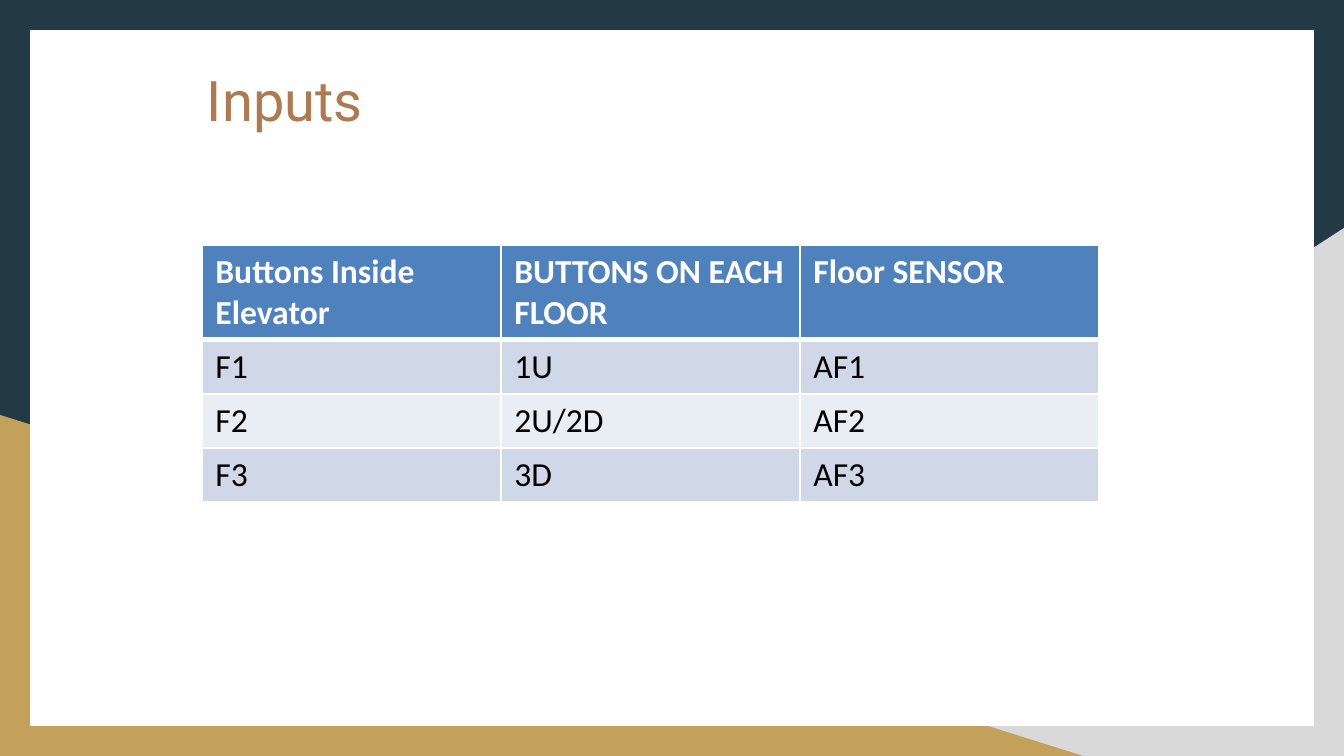
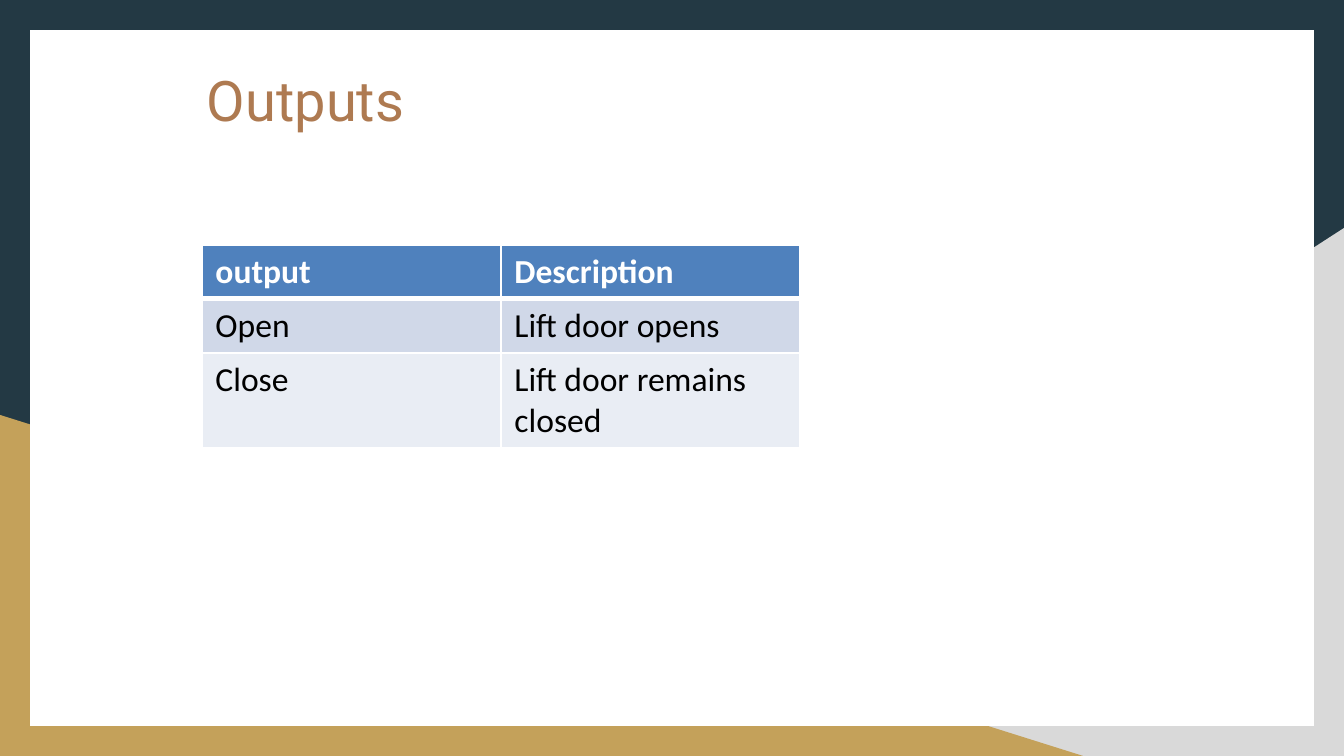
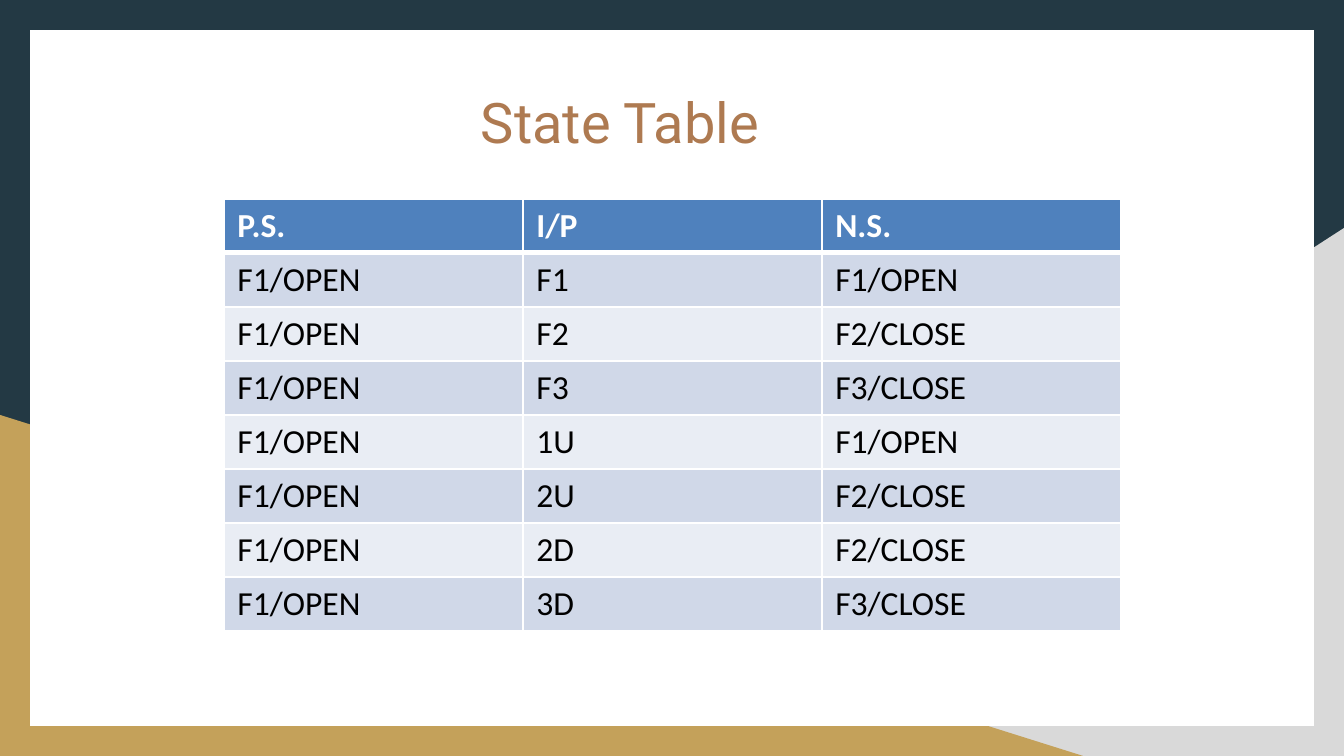
from dataclasses import dataclass
from typing import Optional

from lxml.etree import SubElement
from pptx import Presentation
from pptx.dml.color import RGBColor
from pptx.enum.text import MSO_ANCHOR, MSO_AUTO_SIZE, PP_ALIGN
from pptx.oxml.ns import qn
from pptx.slide import Slide, SlideLayout
from pptx.table import _Cell
from pptx.util import Emu, Pt

EMU_PER_PX = 914400 / 134.4
SLIDE_WIDTH, SLIDE_HEIGHT = 1344, 756
COLUMN_WIDTH = 299
ROW_HEIGHT, TWO_LINE_ROW_HEIGHT = 54, 95


@dataclass(frozen=True)
class Theme:
    navy: str = "233944"
    grey: str = "D9D9D9"
    gold: str = "C4A15A"
    white: str = "FFFFFF"
    black: str = "000000"
    title: str = "AE7A51"
    header: str = "4F81BD"
    odd_row: str = "D0D8E8"
    even_row: str = "E9EDF4"
    title_font: str = "Roboto"
    table_font: str = "Calibri"
    title_size: int = 30
    table_size: int = 18
    rule: int = 1
    header_rule: int = 3


THEME = Theme()


@dataclass(frozen=True)
class Panel:
    color: str
    corners: tuple[tuple[int, int], ...]


@dataclass(frozen=True)
class Box:
    left: int
    top: int
    width: int
    height: int


@dataclass(frozen=True)
class TableSlide:
    title: str
    title_box: Box
    table_left: int
    table_top: int
    rows: list[tuple[str, ...]]
    two_line_row: Optional[int] = None


def rectangle(left: int, top: int, right: int, bottom: int) -> tuple[tuple[int, int], ...]:
    return (left, top), (right, top), (right, bottom), (left, bottom)


BACKDROP = [
    Panel(THEME.navy, rectangle(0, 0, SLIDE_WIDTH, SLIDE_HEIGHT)),
    Panel(THEME.grey, ((SLIDE_WIDTH, SLIDE_HEIGHT), (527, SLIDE_HEIGHT), (SLIDE_WIDTH, 228))),
    Panel(THEME.gold, ((1083, SLIDE_HEIGHT), (0, SLIDE_HEIGHT), (0, 415))),
    Panel(THEME.white, rectangle(30, 30, 1314, 726)),
]

LEFT_TITLE = Box(207, 66, 930, 67)

STEPS_FROM_FIRST_FLOOR = [
    ("F1", "F1/OPEN"),
    ("F2", "F2/CLOSE"),
    ("F3", "F3/CLOSE"),
    ("1U", "F1/OPEN"),
    ("2U", "F2/CLOSE"),
    ("2D", "F2/CLOSE"),
    ("3D", "F3/CLOSE"),
]

SLIDES = [
    TableSlide("Inputs", LEFT_TITLE, 202, 245, [
        ("Buttons Inside Elevator", "BUTTONS ON EACH FLOOR", "Floor SENSOR"),
        ("F1", "1U", "AF1"),
        ("F2", "2U/2D", "AF2"),
        ("F3", "3D", "AF3"),
    ], two_line_row=0),
    TableSlide("Outputs", LEFT_TITLE, 202, 245, [
        ("output", "Description"),
        ("Open", "Lift door opens"),
        ("Close", "Lift door remains closed"),
    ], two_line_row=2),
    TableSlide("State Table", Box(481, 88, 289, 71), 224, 199, [
        ("P.S.", "I/P", "N.S."),
        *[("F1/OPEN", *step) for step in STEPS_FROM_FIRST_FLOOR],
    ]),
]


def px(length: int) -> Emu:
    return Emu(round(length * EMU_PER_PX))


def draw_backdrop(slide: Slide, layout: SlideLayout) -> None:
    """Outline the panels on a slide, then move them to its layout so all slides share them."""
    for placeholder in list(layout.placeholders):
        if placeholder.placeholder_format.idx != 0:
            layout.placeholders.element.remove(placeholder.element)
    panels = []
    for panel in BACKDROP:
        start, *others = panel.corners
        builder = slide.shapes.build_freeform(*start, scale=EMU_PER_PX)
        builder.add_line_segments(others, close=True)
        shape = builder.convert_to_shape()
        shape.fill.solid()
        shape.fill.fore_color.rgb = RGBColor.from_string(panel.color)
        shape.line.fill.background()
        shape.shadow.inherit = False
        panels.append(shape.element)
    for position, element in enumerate(panels, start=2):
        layout.shapes.element.insert(position, element)


def write_title(slide: Slide, text: str, box: Box) -> None:
    title = slide.shapes.title
    title.left, title.top = px(box.left), px(box.top)
    title.width, title.height = px(box.width), px(box.height)
    frame = title.text_frame
    frame.text = text
    frame.margin_left = frame.margin_top = frame.margin_right = frame.margin_bottom = 0
    frame.vertical_anchor = MSO_ANCHOR.TOP
    frame.auto_size = MSO_AUTO_SIZE.SHAPE_TO_FIT_TEXT
    paragraph = frame.paragraphs[0]
    paragraph.alignment = PP_ALIGN.LEFT
    font = paragraph.runs[0].font
    font.name, font.size = THEME.title_font, Pt(THEME.title_size)
    font.color.rgb = RGBColor.from_string(THEME.title)


def rule_cell(cell: _Cell, row: int) -> None:
    """Add white borders, thicker between header and body; call before filling the cell."""
    properties = cell._tc.get_or_add_tcPr()
    widths = {
        "a:lnL": THEME.rule,
        "a:lnR": THEME.rule,
        "a:lnT": THEME.header_rule if row == 1 else THEME.rule,
        "a:lnB": THEME.header_rule if row == 0 else THEME.rule,
    }
    for side, width in widths.items():
        line = SubElement(properties, qn(side), w=str(Pt(width)))
        fill = SubElement(line, qn("a:solidFill"))
        SubElement(fill, qn("a:srgbClr"), val=THEME.white)


def fill_cell(cell: _Cell, text: str, row: int) -> None:
    is_header = row == 0
    rule_cell(cell, row)
    band = THEME.odd_row if row % 2 else THEME.even_row
    cell.fill.solid()
    cell.fill.fore_color.rgb = RGBColor.from_string(THEME.header if is_header else band)
    cell.text_frame.text = text
    font = cell.text_frame.paragraphs[0].runs[0].font
    font.name, font.size, font.bold = THEME.table_font, Pt(THEME.table_size), is_header
    font.color.rgb = RGBColor.from_string(THEME.white if is_header else THEME.black)


def draw_table(slide: Slide, content: TableSlide) -> None:
    heights = [TWO_LINE_ROW_HEIGHT if row == content.two_line_row else ROW_HEIGHT
               for row in range(len(content.rows))]
    column_count = len(content.rows[0])
    table = slide.shapes.add_table(
        len(heights), column_count, px(content.table_left), px(content.table_top),
        px(COLUMN_WIDTH * column_count), px(sum(heights))).table
    for column in table.columns:
        column.width = px(COLUMN_WIDTH)
    for row, (texts, height) in enumerate(zip(content.rows, heights)):
        table.rows[row].height = px(height)
        for column, text in enumerate(texts):
            fill_cell(table.cell(row, column), text, row)


def main() -> None:
    presentation = Presentation()
    presentation.slide_width, presentation.slide_height = px(SLIDE_WIDTH), px(SLIDE_HEIGHT)
    title_only = presentation.slide_layouts.get_by_name("Title Only")
    for content in SLIDES:
        slide = presentation.slides.add_slide(title_only)
        if content is SLIDES[0]:
            draw_backdrop(slide, title_only)
        write_title(slide, content.title, content.title_box)
        draw_table(slide, content)
    presentation.save("out.pptx")


if __name__ == "__main__":
    main()
